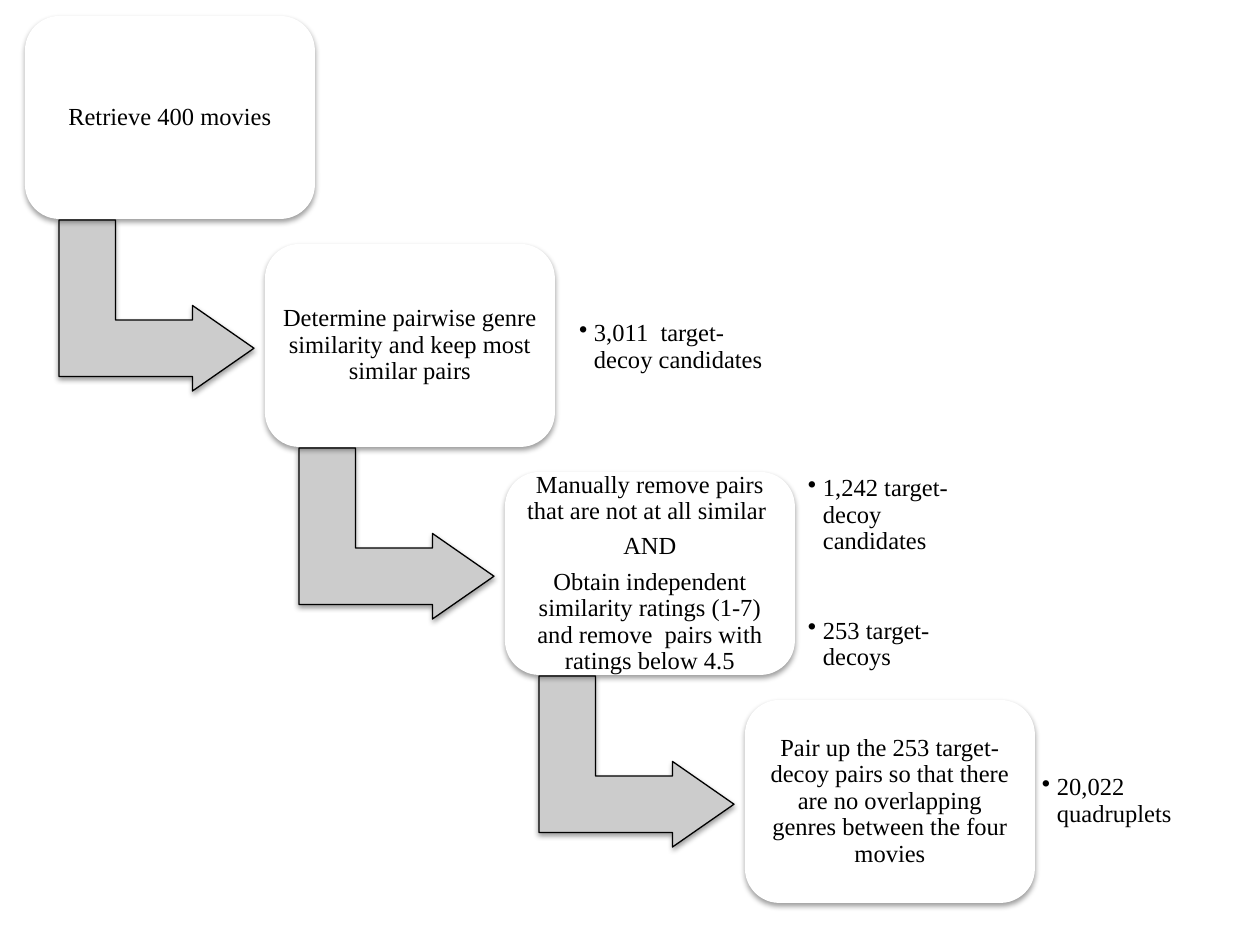
"""Build a four-step descending flow of movie pair selection."""
from dataclasses import dataclass

from lxml.etree import SubElement
from pptx import Presentation
from pptx.dml.color import RGBColor
from pptx.enum.shapes import MSO_SHAPE
from pptx.enum.text import MSO_ANCHOR, PP_ALIGN
from pptx.oxml.ns import qn
from pptx.util import Emu, Pt


@dataclass(frozen=True)
class Theme:
    font: str = "Times New Roman"
    size: Pt = Pt(14)
    ink: RGBColor = RGBColor(0, 0, 0)
    card: RGBColor = RGBColor(255, 255, 255)
    arrow: RGBColor = RGBColor(0xCC, 0xCC, 0xCC)


THEME = Theme()
SCALE = 914400 / 126


def write_text(shape, lines, align=PP_ALIGN.LEFT, gap=5, bullet=False):
    """Fill a shape with formatted paragraphs."""
    frame = shape.text_frame
    frame.word_wrap = True
    frame.vertical_anchor = MSO_ANCHOR.MIDDLE
    frame.margin_left = frame.margin_right = Emu(round(8 * SCALE))
    frame.margin_top = frame.margin_bottom = Emu(round(8 * SCALE))
    for index, line in enumerate(lines):
        para = frame.add_paragraph() if index else frame.paragraphs[0]
        para.alignment = align
        para.line_spacing = 0.9
        para.space_after = Pt(gap)
        span = para.add_run()
        span.text = line
        span.font.name = THEME.font
        span.font.size = THEME.size
        span.font.color.rgb = THEME.ink
        if bullet:
            para.level = 1
            properties = para._p.get_or_add_pPr()
            indent = round(15 * SCALE)
            properties.set("marL", str(indent))
            properties.set("indent", str(-indent))
            SubElement(properties, qn("a:buChar"), char="•")


def add_raised(page, kind, bounds, fill, adjustments):
    """Add a filled shape with a soft shadow below it."""
    shape = page.shapes.add_shape(kind, *[Emu(round(v * SCALE)) for v in bounds])
    for index, value in enumerate(adjustments):
        shape.adjustments[index] = value
    shape.fill.solid()
    shape.fill.fore_color.rgb = fill
    shape.line.fill.background()
    shape.shadow.inherit = False
    effects = shape._element.spPr.find(qn("a:effectLst"))
    shadow = SubElement(effects, qn("a:outerShdw"), blurRad="40000",
                        dist="20000", dir="5400000", rotWithShape="0")
    color = SubElement(shadow, qn("a:srgbClr"), val=str(THEME.ink))
    SubElement(color, qn("a:alpha"), val="38000")
    return shape


STEPS = [
    ["Retrieve 400 movies"],
    ["Determine pairwise genre similarity and keep most similar pairs"],
    ["Manually remove pairs that are not at all similar ", "AND",
     "Obtain independent similarity ratings (1-7) and remove  pairs with "
     "ratings below 4.5"],
    ["Pair up the 253 target-decoy pairs so that there are no overlapping "
     "genres between the four movies"],
]
RESULTS = [
    ((571, 265, 210, 164), 2, ["3,011  target-decoy candidates"]),
    ((800, 472, 199, 203), 36, ["1,242 target-decoy candidates", "253 target-decoys"]),
    ((1034, 719, 210, 164), 36, ["20,022 quadruplets "]),
]

deck = Presentation()
deck.slide_width = Emu(round(1260 * SCALE))
deck.slide_height = Emu(round(945 * SCALE))
page = deck.slides.add_slide(deck.slide_layouts[6])

for number, lines in enumerate(STEPS):
    across, down = 240 * number, 228 * number
    if number < len(STEPS) - 1:
        arrow = add_raised(page, MSO_SHAPE.BENT_UP_ARROW,
                           (71 + across, 208 + down, 171, 195),
                           THEME.arrow, (0.33, 0.25, 0.36))
        arrow.rotation = 90
        arrow.line.color.rgb = THEME.ink
        arrow.line.width = Pt(0.75)
    card = add_raised(page, MSO_SHAPE.ROUNDED_RECTANGLE,
                      (25 + across, 16 + down, 290, 203), THEME.card, (0.17,))
    write_text(card, lines, align=PP_ALIGN.CENTER)

for bounds, gap, lines in RESULTS:
    box = page.shapes.add_textbox(*[Emu(round(v * SCALE)) for v in bounds])
    write_text(box, lines, gap=gap, bullet=True)

deck.save("out.pptx")
